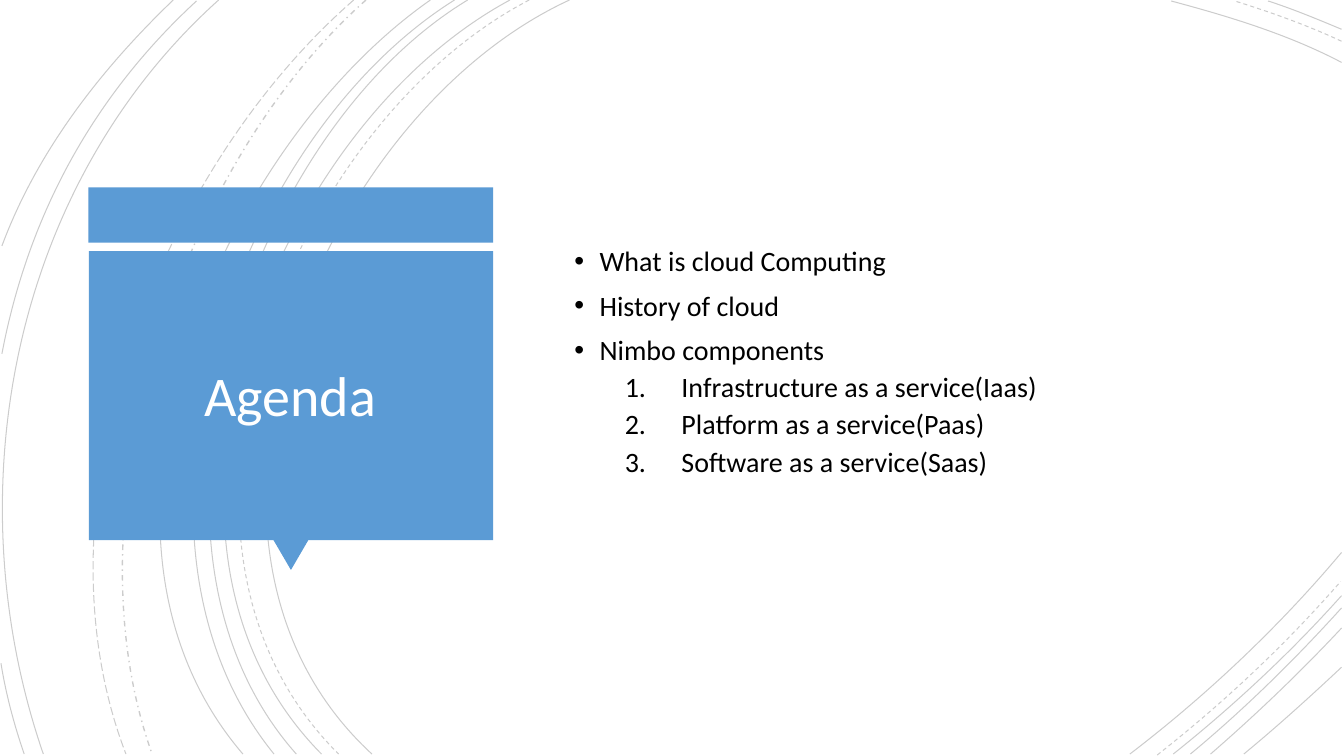
"""Build the agenda slide: a blue title callout and a bulleted list over fine curved lines."""
from lxml.etree import SubElement
from pptx import Presentation
from pptx.dml.color import RGBColor
from pptx.enum.dml import MSO_LINE
from pptx.enum.shapes import MSO_SHAPE
from pptx.enum.text import MSO_ANCHOR, PP_ALIGN
from pptx.oxml.ns import qn
from pptx.util import Pt

BLUE, BLACK, WHITE = "5B9BD5", "000000", "FFFFFF"
SOLID, DASH = MSO_LINE.SOLID, MSO_LINE.DASH


def paint(color_format, color):
    color_format.rgb = RGBColor.from_string(color)


def add_text(left, top, width, height):
    frame = slide.shapes.add_textbox(Pt(left), Pt(top), Pt(width), Pt(height)).text_frame
    frame.word_wrap = True
    frame.vertical_anchor = MSO_ANCHOR.MIDDLE
    return frame


deck = Presentation()
deck.slide_width, deck.slide_height = Pt(960), Pt(540)
slide = deck.slides.add_slide(deck.slide_layouts[6])

curves = [
    (SOLID, (406.8, 0), (226.8, 82.8), (103, 388.8), (265.7, 538.6)),
    (SOLID, (958.3, 44.6), (920.2, 24.5), (877, 11.5), (836.6, 0.7)),
    (SOLID, (807.1, 538.6), (861.8, 496.8), (913.7, 447.8), (958.3, 394.6)),
    (DASH, (378, 0), (205.2, 90), (88.6, 386.6), (241.9, 538.6)),
    (DASH, (958.3, 29.5), (933.8, 18), (907.2, 8.6), (882, 0.7)),
    (DASH, (826.6, 539.3), (873.4, 502.6), (918, 460.8), (957.6, 415.4)),
    (SOLID, (364.3, 0), (194.4, 91.4), (79.2, 386.6), (229.7, 538.6)),
    (SOLID, (958.3, 20.9), (941, 13.7), (923.8, 6.5), (905.8, 0.7)),
    (SOLID, (838.1, 538.6), (880.6, 504.7), (921.6, 466.6), (958.3, 425.5)),
    (SOLID, (334.1, 0), (175.7, 95.8), (79.2, 389.5), (211.7, 538.6)),
    (SOLID, (850.3, 538.6), (888.5, 506.9), (924.5, 471.6), (958.3, 434.2)),
    (SOLID, (324.7, 0), (166.3, 99.4), (69.8, 383.8), (195.8, 538.6)),
    (SOLID, (864.7, 538.6), (897.1, 510.5), (928.8, 480.2), (958.3, 448.6)),
    (SOLID, (307.4, 0), (156.2, 105.8), (38.2, 380.9), (173.5, 538.6)),
    (SOLID, (888.5, 538.6), (912.2, 519.1), (935.3, 498.2), (958.3, 476.6)),
    (MSO_LINE.DASH_DOT, (261.4, 0), (126.7, 119.5), (46.8, 366.5), (108.7, 538.6)),
    (MSO_LINE.LONG_DASH, (252.7, 0), (113, 121.7), (20.9, 359.3), (90, 538.6)),
    (SOLID, (156.2, 0), (7.9, 133.2), (-33.1, 352.8), (31, 538.6)),
    (SOLID, (140.4, 0.7), (66.2, 69.1), (20.2, 154.1), (1.4, 252.7)),
    (SOLID, (0.7, 473.8), (4.3, 496.1), (10.1, 517.7), (17.3, 538.6)),
    (SOLID, (123.8, 0), (72, 49.7), (26.6, 108), (1.4, 175.7)),
]
for dash, *controls in curves:
    points = [(Pt(x), Pt(y)) for x, y in controls]
    builder = slide.shapes.build_freeform(*points[0])
    builder.add_line_segments(points[1:], close=False)
    curve = builder.convert_to_shape()
    outline = curve._element.find(".//" + qn("a:path"))
    bezier = SubElement(outline, qn("a:cubicBezTo"))
    for segment in outline.findall(qn("a:lnTo")):
        bezier.append(segment[0])
        outline.remove(segment)
    curve.shadow.inherit = False
    curve.fill.background()
    paint(curve.line.color, BLACK)
    curve.line.width = Pt(1 if dash == MSO_LINE.DASH_DOT else 0.75)
    curve.line.dash_style = dash
    line_color = curve._element.find(".//" + qn("a:ln")).find(".//" + qn("a:srgbClr"))
    SubElement(line_color, qn("a:alpha"), val="20000")

callout = [
    (MSO_SHAPE.RECTANGLE, 63.2, 133.8, 289, 39.6, 0),
    (MSO_SHAPE.ISOSCELES_TRIANGLE, 195.2, 385.5, 25.2, 21.6, 180),
    (MSO_SHAPE.RECTANGLE, 63.5, 179.3, 288.7, 206.5, 0),
]
for kind, left, top, width, height, rotation in callout:
    part = slide.shapes.add_shape(kind, Pt(left), Pt(top), Pt(width), Pt(height))
    part.rotation = rotation
    part.shadow.inherit = False
    part.fill.solid()
    paint(part.fill.fore_color, BLUE)
    part.line.fill.background()

title = add_text(71.6, 190, 271.6, 188.6).paragraphs[0]
title.text = "Agenda"
title.alignment = PP_ALIGN.CENTER
title.line_spacing = 0.9
title.font.name, title.font.size = "Calibri", Pt(40)
paint(title.font.color, WHITE)

topics = [
    ("What is cloud Computing", 0),
    ("History of cloud", 0),
    ("Nimbo components", 0),
    ("Infrastructure as a service(Iaas)", 1),
    ("Platform as a service(Paas)", 1),
    ("Software as a service(Saas)", 1),
]
agenda = add_text(403.2, 63.4, 494.6, 413.3)
agenda.margin_bottom = Pt(25.2)
for index, (topic, level) in enumerate(topics):
    entry = agenda.add_paragraph() if index else agenda.paragraphs[0]
    entry.text = topic
    entry.level = level
    entry.line_spacing = 0.9
    entry.space_before = Pt(5 if level else 10)
    entry.font.name, entry.font.size = "Calibri", Pt(20)
    paint(entry.font.color, BLACK)
    margin, hanging = (76.5, 40.5) if level else (18, 18)
    properties = entry._p.get_or_add_pPr()
    properties.set("marL", str(Pt(margin)))
    properties.set("indent", str(-Pt(hanging)))
    if level:
        SubElement(properties, qn("a:buFont"), typeface="+mj-lt")
        SubElement(properties, qn("a:buAutoNum"), type="arabicPeriod")
    else:
        SubElement(properties, qn("a:buFont"), typeface="Arial")
        SubElement(properties, qn("a:buChar"), char="•")
    properties.append(properties.find(qn("a:defRPr")))

deck.save("out.pptx")
